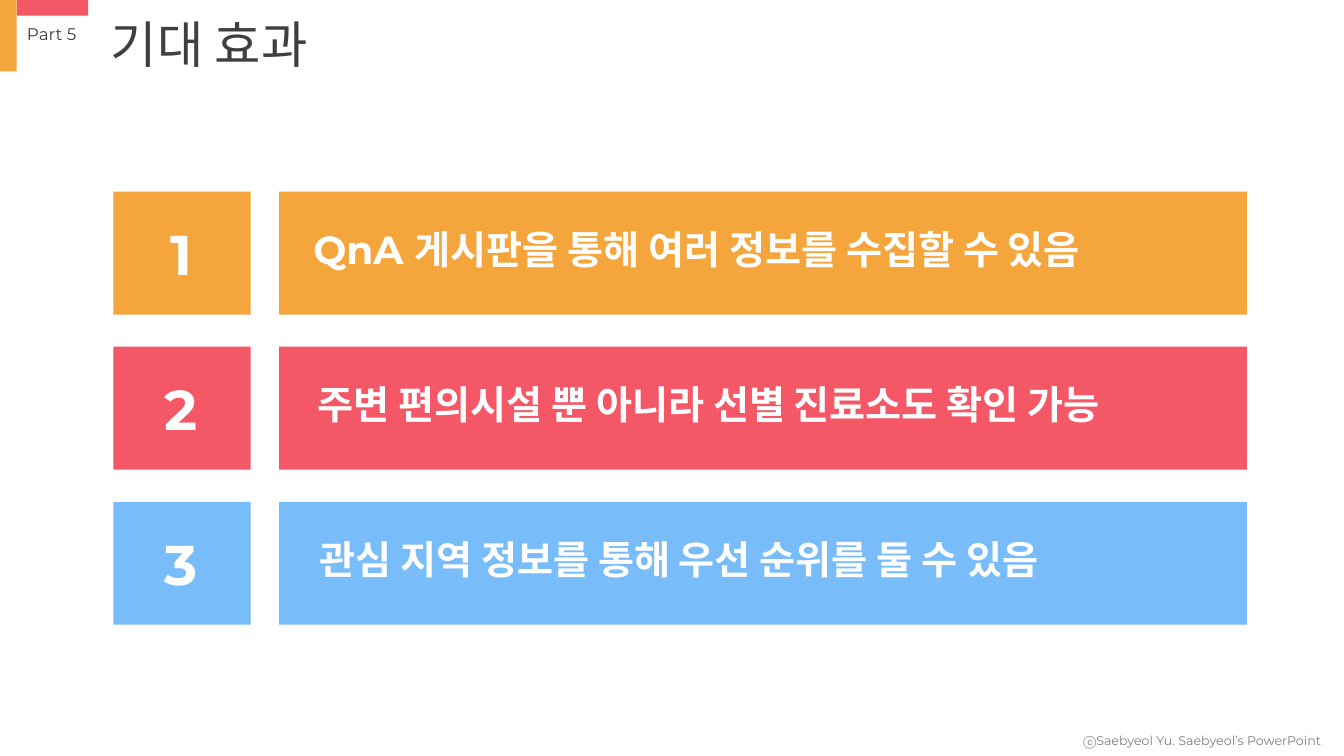
from dataclasses import dataclass

from pptx import Presentation
from pptx.dml.color import RGBColor
from pptx.enum.shapes import MSO_SHAPE
from pptx.enum.text import MSO_AUTO_SIZE, PP_ALIGN
from pptx.slide import Slide
from pptx.util import Pt


@dataclass(frozen=True)
class Theme:
    font: str = "Montserrat"
    orange: str = "F4A53C"
    red: str = "F45766"
    blue: str = "78BCFA"
    white: str = "FFFFFF"
    dark: str = "3F3F3F"
    gray: str = "7F7F7F"
    title_size: float = 36
    number_size: float = 40
    effect_size: float = 28
    part_size: float = 12
    credit_size: float = 9


@dataclass(frozen=True)
class Box:
    left: float
    top: float
    width: float
    height: float


@dataclass(frozen=True)
class Effect:
    text: str
    color: str
    text_left: float


THEME = Theme()
EFFECTS = [
    Effect("QnA 게시판을 통해 여러 정보를 수집할 수 있음", THEME.orange, 216.7),
    Effect("주변 편의시설 뿐 아니라 선별 진료소도 확인 가능", THEME.red, 219.6),
    Effect("관심 지역 정보를 통해 우선 순위를 둘 수 있음", THEME.blue, 221),
]
FIRST_ROW_TOP = 136.9
ROW_PITCH = 110.75
ROW_HEIGHT = 87.8


def add_block(slide: Slide, box: Box, color: str) -> None:
    shape = slide.shapes.add_shape(
        MSO_SHAPE.RECTANGLE, Pt(box.left), Pt(box.top), Pt(box.width), Pt(box.height)
    )
    shape.shadow.inherit = False
    shape.fill.solid()
    shape.fill.fore_color.rgb = RGBColor.from_string(color)
    shape.line.fill.background()


def add_text(
    slide: Slide,
    box: Box,
    text: str,
    size: float,
    color: str,
    bold: bool = False,
    alignment: PP_ALIGN = PP_ALIGN.LEFT,
) -> None:
    shape = slide.shapes.add_textbox(
        Pt(box.left), Pt(box.top), Pt(box.width), Pt(box.height)
    )
    text_frame = shape.text_frame
    text_frame.word_wrap = True
    text_frame.auto_size = MSO_AUTO_SIZE.SHAPE_TO_FIT_TEXT
    text_frame.text = text
    paragraph = text_frame.paragraphs[0]
    paragraph.alignment = alignment
    font = paragraph.runs[0].font
    font.name = THEME.font
    font.size = Pt(size)
    font.bold = bold
    font.color.rgb = RGBColor.from_string(color)


def add_header(slide: Slide) -> None:
    add_block(slide, Box(0, 0, 12, 51), THEME.orange)
    add_block(slide, Box(12, 0, 51, 11.2), THEME.red)
    add_text(slide, Box(72, 5.8, 247, 51), "기대 효과", THEME.title_size, THEME.dark)
    add_text(slide, Box(12.2, 13.7, 57, 21.8), "Part 5", THEME.part_size, THEME.dark)


def add_effect(slide: Slide, number: int, effect: Effect) -> None:
    top = FIRST_ROW_TOP + (number - 1) * ROW_PITCH
    add_block(slide, Box(81, top, 98, ROW_HEIGHT), effect.color)
    add_block(slide, Box(199.3, top, 691.4, ROW_HEIGHT), effect.color)
    add_text(
        slide, Box(101.5, top + 16.2, 56, 55.7), str(number),
        THEME.number_size, THEME.white, True, PP_ALIGN.CENTER,
    )
    add_text(
        slide, Box(effect.text_left, top + 20.2, 660, 41.2), effect.text,
        THEME.effect_size, THEME.white, True,
    )


def main() -> None:
    presentation = Presentation()
    presentation.slide_width = Pt(960)
    presentation.slide_height = Pt(540)
    slide = presentation.slides.add_slide(presentation.slide_layouts[6])
    add_text(
        slide, Box(766.8, 519.8, 193.2, 18.2), "ⓒSaebyeol Yu. Saebyeol’s PowerPoint",
        THEME.credit_size, THEME.gray,
    )
    add_header(slide)
    for number, effect in enumerate(EFFECTS, start=1):
        add_effect(slide, number, effect)
    presentation.save("out.pptx")


if __name__ == "__main__":
    main()
